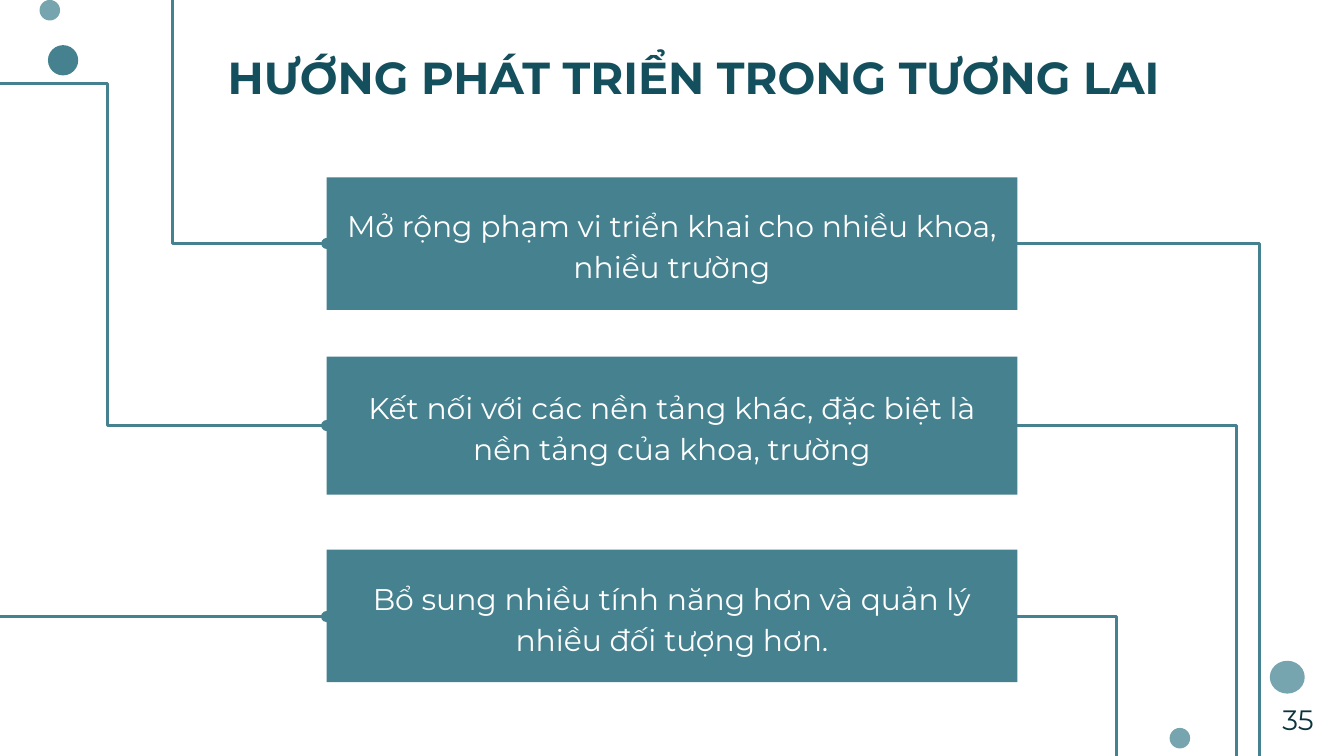
from pptx import Presentation
from pptx.dml.color import RGBColor
from pptx.enum.shapes import MSO_CONNECTOR, MSO_SHAPE
from pptx.enum.text import MSO_ANCHOR, PP_ALIGN
from pptx.oxml.ns import qn
from pptx.util import Pt
from lxml.etree import SubElement

COLORS = {
    "teal": "45818E",
    "light": "76A5AF",
    "title": "134F5C",
    "number": "0C343D",
    "white": "FFFFFF",
}


def add_filled(kind, left, top, width, height, color):
    shape = slide.shapes.add_shape(kind, Pt(left), Pt(top), Pt(width), Pt(height))
    shape.shadow.inherit = False
    shape.fill.solid()
    shape.fill.fore_color.rgb = RGBColor.from_string(COLORS[color])
    shape.line.fill.background()
    return shape


def write(shape, text, size, color, align, anchor=MSO_ANCHOR.MIDDLE):
    frame = shape.text_frame
    frame.word_wrap = True
    frame.vertical_anchor = anchor
    frame.margin_left = frame.margin_right = Pt(7.2)
    frame.margin_top = frame.margin_bottom = Pt(7.2)
    paragraph = frame.paragraphs[0]
    paragraph.text = text
    paragraph.alignment = align
    paragraph.font.name = "Montserrat"
    paragraph.font.size = Pt(size)
    paragraph.font.color.rgb = RGBColor.from_string(COLORS[color])
    return paragraph


presentation = Presentation()
presentation.slide_width = Pt(720)
presentation.slide_height = Pt(405)
slide = presentation.slides.add_slide(presentation.slide_layouts[6])

# Corner dots: left, top, width, height, colour
for left, top, width, height, color in [
    (626.6, 390, 11, 11, "light"),
    (680.3, 354, 18.7, 17.6, "light"),
    (25.7, 24.2, 16.2, 16.2, "teal"),
    (21.2, 0, 11, 11, "light"),
]:
    add_filled(MSO_SHAPE.OVAL, left, top, width, height, color)

# Direction boxes: top, height, text
BOX_LEFT, BOX_WIDTH = 175, 370
BOX_RIGHT = BOX_LEFT + BOX_WIDTH
for top, height, text in [
    (95, 71, "Mở rộng phạm vi triển khai cho nhiều khoa, nhiều trường"),
    (191, 74, "Kết nối với các nền tảng khác, đặc biệt là nền tảng của khoa, trường"),
    (294.5, 71, "Bổ sung nhiều tính năng hơn và quản lý nhiều đối tượng hơn."),
]:
    box = add_filled(MSO_SHAPE.RECTANGLE, BOX_LEFT, top, BOX_WIDTH, height, "teal")
    write(box, text, 16, "white", PP_ALIGN.CENTER).line_spacing = 1.15

# Circuit lines: start, end, preset, end that carries the dot
ROW_1, ROW_2, ROW_3 = 130.4, 228, 330.3
for start, end, preset, dot_end in [
    ((10, -5), (BOX_LEFT, ROW_1), "bentConnector3", "tailEnd"),
    ((-60, 44.6), (BOX_LEFT, ROW_2), "bentConnector3", "tailEnd"),
    ((BOX_RIGHT, ROW_2), (662.5, 430.5), "bentConnector2", "tailEnd"),
    ((BOX_RIGHT, ROW_1), (674.8, 447.5), "bentConnector2", "tailEnd"),
    ((BOX_RIGHT, ROW_3), (651, 416.5), "bentConnector3", "tailEnd"),
    ((BOX_LEFT, ROW_3), (-24, 17), "bentConnector2", "headEnd"),
]:
    points = [Pt(value) for value in start + end]
    connector = slide.shapes.add_connector(MSO_CONNECTOR.ELBOW, *points)
    connector.line.color.rgb = RGBColor.from_string(COLORS["teal"])
    connector.line.width = Pt(1.5)
    properties = connector._element.spPr
    properties.find(qn("a:prstGeom")).set("prst", preset)
    SubElement(properties.find(qn("a:ln")), qn("a:" + dot_end), type="oval")
    SubElement(properties, qn("a:effectLst"))

# Title
title = add_filled(MSO_SHAPE.RECTANGLE, 105, 18, 533, 45.5, "white")
write(title, "HƯỚNG PHÁT TRIỂN TRONG TƯƠNG LAI", 24, "title", PP_ALIGN.CENTER).font.bold = True

# Page number
number = slide.shapes.add_textbox(Pt(671.8), Pt(369.4), Pt(39), Pt(23))
write(number, "35", 15, "number", PP_ALIGN.RIGHT, MSO_ANCHOR.TOP)

presentation.save("out.pptx")
